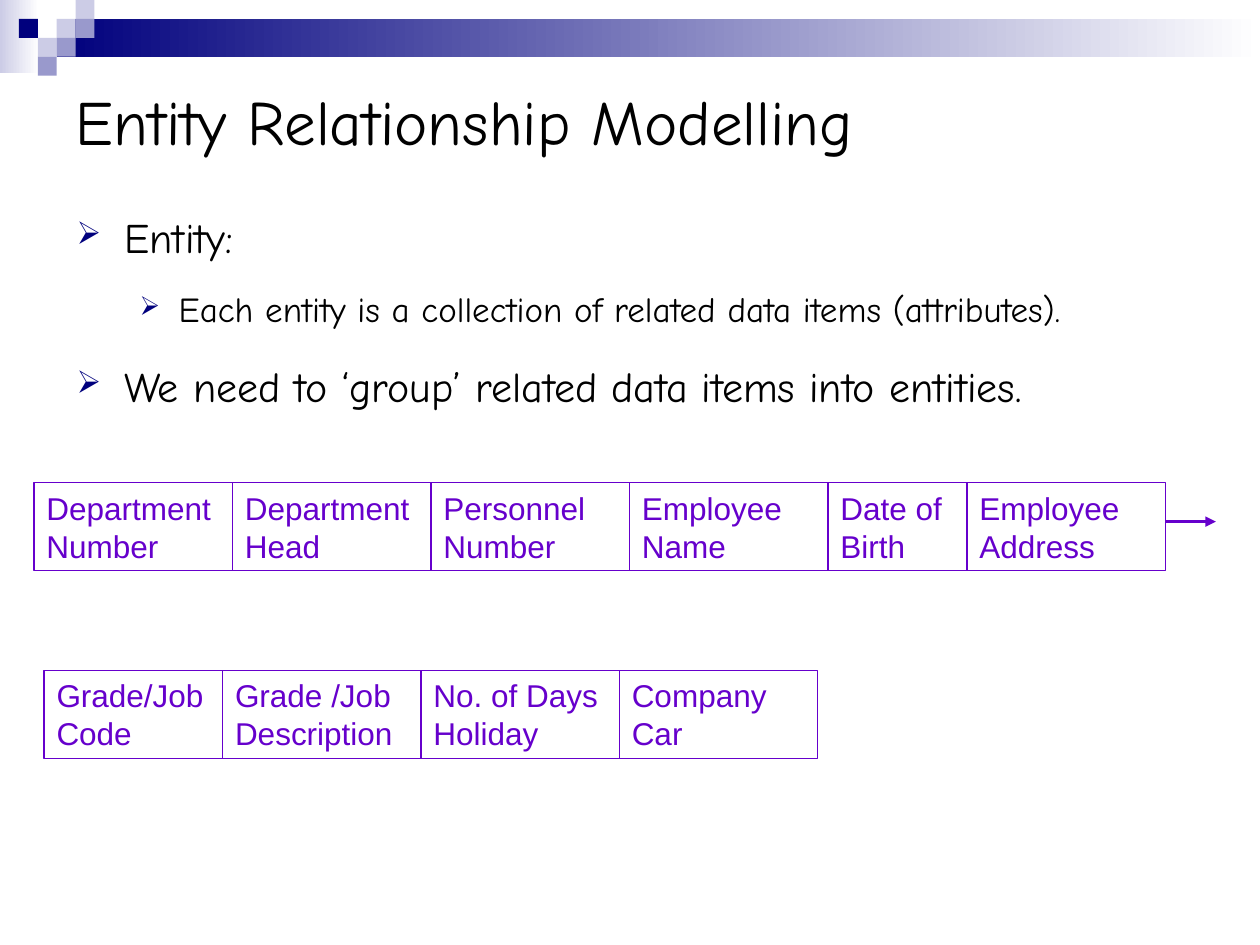
"""Build the Entity Relationship Modelling slide."""
from lxml.etree import SubElement
from pptx import Presentation
from pptx.dml.color import RGBColor
from pptx.enum.shapes import MSO_CONNECTOR, MSO_SHAPE
from pptx.enum.text import MSO_ANCHOR, MSO_AUTO_SIZE, PP_ALIGN
from pptx.oxml.ns import qn
from pptx.util import Inches, Pt

BLACK = RGBColor(0x00, 0x00, 0x00)
WHITE = RGBColor(0xFF, 0xFF, 0xFF)
NAVY = RGBColor(0x00, 0x00, 0x7D)
LAVENDER = RGBColor(0xCC, 0xCC, 0xE6)
PERIWINKLE = RGBColor(0x99, 0x99, 0xCC)
PURPLE = RGBColor(0x66, 0x00, 0xCC)

TITLE = "Entity Relationship Modelling"
POINTS = [
    (0, "Entity:"),
    (1, "Each entity is a collection of related data items (attributes)."),
    (0, "We need to ‘group’ related data items into entities."),
]
LEVELS = [
    {"size": 24, "before": 12, "indent": 0.38, "hanging": 0.38},
    {"size": 20, "before": 10, "indent": 0.81, "hanging": 0.31},
]
RECORDS = [
    {"left": 0.27, "top": 3.83, "width": 8.98, "fields": [
        ("Department Number", 10), ("Department Head", 10),
        ("Personnel Number", 10), ("Employee Name", 10),
        ("Date of Birth", 7), ("Employee Address", 10)]},
    {"left": 0.35, "top": 5.32, "width": 6.14, "fields": [
        ("Grade/Job Code", 9), ("Grade /Job Description", 10),
        ("No. of Days Holiday", 10), ("Company Car", 10)]},
]
FIELD_HEIGHT = 0.7
BANDS = [(0, 0, 0.31, 0.58, LAVENDER), (0.45, 0.15, 9.55, 0.3, NAVY)]
TILE = 0.15
TILES = [
    (3, 1, LAVENDER), (4, 0, LAVENDER), (4, 1, PERIWINKLE), (2, 2, LAVENDER),
    (1, 1, NAVY), (3, 2, PERIWINKLE), (2, 3, PERIWINKLE),
]


def add_rectangle(page, left, top, width, height):
    box = page.shapes.add_shape(
        MSO_SHAPE.RECTANGLE, Inches(left), Inches(top), Inches(width), Inches(height))
    box.shadow.inherit = False
    box.line.fill.background()
    return box


def add_text_box(page, left, top, width, height, anchor):
    box = page.shapes.add_textbox(
        Inches(left), Inches(top), Inches(width), Inches(height))
    box.text_frame.word_wrap = True
    box.text_frame.vertical_anchor = anchor
    return box


def write(para, text, *, size, font="Comic Neue", color=BLACK):
    para.alignment = PP_ALIGN.LEFT
    span = para.add_run()
    span.text = text
    span.font.size = Pt(size)
    span.font.name = font
    span.font.color.rgb = color


def add_bullet(para, indent, hanging):
    props = para._p.get_or_add_pPr()
    props.set("marL", str(Inches(indent)))
    props.set("indent", str(-Inches(hanging)))
    tint = SubElement(props, qn("a:buClr"))
    SubElement(tint, qn("a:srgbClr"), val=str(NAVY))
    SubElement(props, qn("a:buSzPct"), val="75000")
    SubElement(props, qn("a:buChar"), char="➢")


def add_banner(page):
    for left, top, width, height, color in BANDS:
        fill = add_rectangle(page, left, top, width, height).fill
        fill.gradient()
        fill.gradient_angle = 0
        for stop, position, shade in zip(fill.gradient_stops, (0, 1), (color, WHITE)):
            stop.position = position
            stop.color.rgb = shade
    for column, row, color in TILES:
        tile = add_rectangle(page, column * TILE, row * TILE, TILE, TILE)
        tile.fill.solid()
        tile.fill.fore_color.rgb = color


def add_points(page):
    frame = add_text_box(page, 0.51, 1.55, 9, 2.2, MSO_ANCHOR.TOP).text_frame
    for index, (level, text) in enumerate(POINTS):
        style = LEVELS[level]
        para = frame.add_paragraph() if index else frame.paragraphs[0]
        para.level = level
        add_bullet(para, style["indent"], style["hanging"])
        para.line_spacing = 1.2
        if index:
            para.space_before = Pt(style["before"])
        write(para, text, size=style["size"])


def add_record(page, left, top, width, fields):
    unit = width / sum(share for _, share in fields)
    for text, share in fields:
        box = add_rectangle(page, left, top, share * unit, FIELD_HEIGHT)
        box.fill.background()
        box.line.color.rgb = PURPLE
        box.line.width = Pt(0.75)
        frame = box.text_frame
        frame.word_wrap = True
        frame.auto_size = MSO_AUTO_SIZE.SHAPE_TO_FIT_TEXT
        frame.vertical_anchor = MSO_ANCHOR.TOP
        write(frame.paragraphs[0], text, size=18, font="Arial", color=PURPLE)
        left += share * unit


def add_arrow(page, left, right, height):
    arrow = page.shapes.add_connector(
        MSO_CONNECTOR.STRAIGHT, Inches(left), Inches(height), Inches(right), Inches(height))
    arrow.line.color.rgb = PURPLE
    arrow.line.width = Pt(1.5)
    SubElement(arrow.line._get_or_add_ln(), qn("a:tailEnd"), type="triangle")
    SubElement(arrow._element.spPr, qn("a:effectLst"))


def main():
    deck = Presentation()
    deck.slide_width, deck.slide_height = Inches(10), Inches(7.5)
    page = deck.slides.add_slide(deck.slide_layouts[6])
    add_banner(page)
    title = add_text_box(page, 0.5, 0.52, 9.5, 0.87, MSO_ANCHOR.MIDDLE)
    write(title.text_frame.paragraphs[0], TITLE, size=36)
    add_points(page)
    for record in RECORDS:
        add_record(page, **record)
    add_arrow(page, 9.25, 9.65, 4.14)
    deck.save("out.pptx")


if __name__ == "__main__":
    main()
